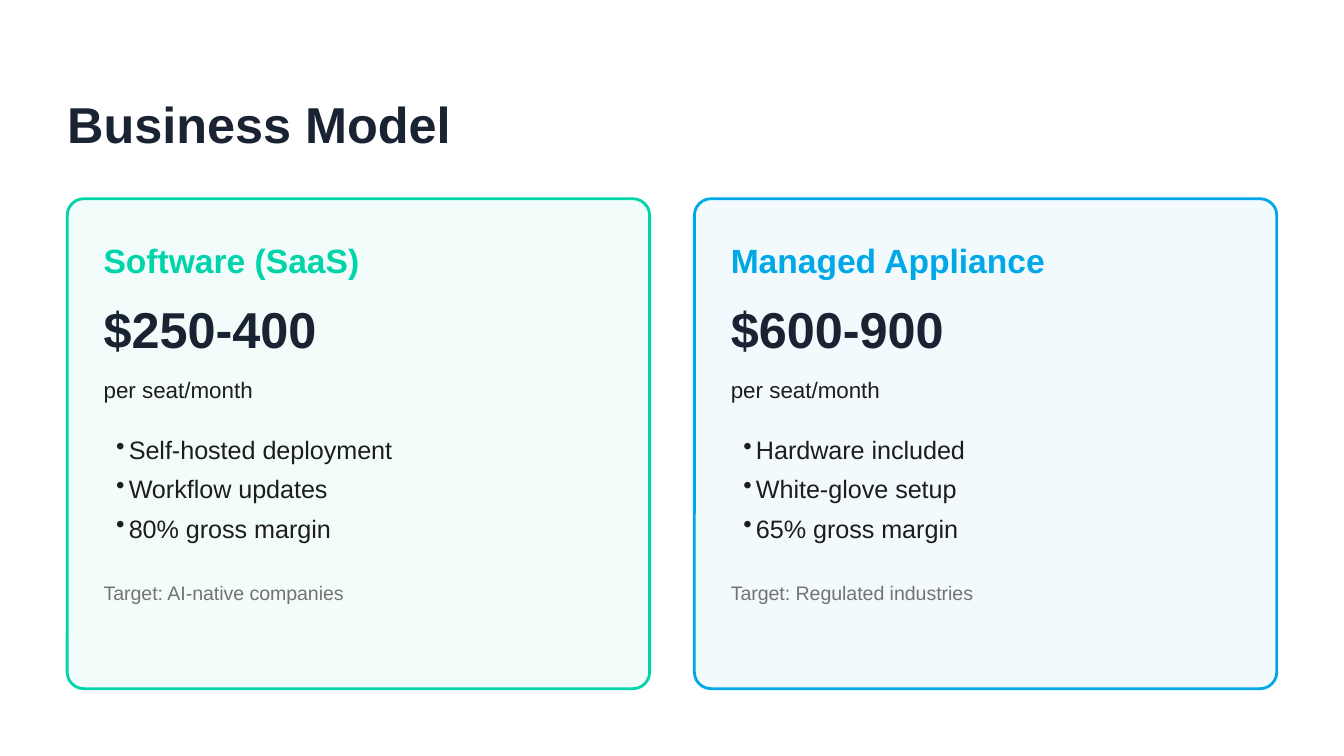
import pptx
import pptx.util
import pptx.dml.color
import pptx.enum.shapes
import pptx.oxml.ns
from lxml import etree

PX = 9525  # EMU per px, 96 px to the inch
INK, BODY, MUTED = "1A2332", "1D1D1D", "737373"


def rgb(value):
    return pptx.dml.color.RGBColor.from_string(value)


def add_text(box, lines, size, color, spacing, bold=False, before=0, after=0, bulleted=False):
    """Add a text box at box (left, top, width, height in px), one paragraph per line."""
    shape = slide.shapes.add_textbox(*[value * PX for value in box])
    frame = shape.text_frame
    frame.word_wrap = True
    frame.margin_left = 9 * PX if bulleted else 0
    frame.margin_top = frame.margin_right = frame.margin_bottom = 0
    frame.text = "\n".join(lines)
    for paragraph in frame.paragraphs:
        paragraph.line_spacing = pptx.util.Pt(spacing)
        paragraph.space_before = pptx.util.Pt(before)
        paragraph.space_after = pptx.util.Pt(after)
        font = paragraph.runs[0].font
        font.name = "Arial"
        font.size = pptx.util.Pt(size)
        font.bold = bold
        font.color.rgb = rgb(color)
        if bulleted:
            properties = paragraph._p.get_or_add_pPr()
            properties.set("marL", str(9 * PX))
            properties.set("indent", str(-9 * PX))
            bullet = etree.SubElement(properties, pptx.oxml.ns.qn("a:buChar"))
            bullet.set("char", "•")


presentation = pptx.Presentation()
presentation.slide_width = 960 * PX
presentation.slide_height = 540 * PX
slide = presentation.slides.add_slide(presentation.slide_layouts[6])
slide.background.fill.solid()
slide.background.fill.fore_color.rgb = rgb("FFFFFF")

add_text((48, 70, 442, 40), ["Business Model"], 27, INK, 30, bold=True)

plans = [
    ("Software (SaaS)", 186, "00D4AA", "$250-400",
     ["Self-hosted deployment", "Workflow updates", "80% gross margin"],
     "Target: AI-native companies"),
    ("Managed Appliance", 229, "00A8E8", "$600-900",
     ["Hardware included", "White-glove setup", "65% gross margin"],
     "Target: Regulated industries"),
]

for index, (name, name_width, accent, price, features, target) in enumerate(plans):
    card_left = 48 + index * 448
    card = slide.shapes.add_shape(
        pptx.enum.shapes.MSO_SHAPE.ROUNDED_RECTANGLE,
        card_left * PX, 142 * PX, 416 * PX, 350 * PX)
    card.adjustments[0] = 0.034
    card.shadow.inherit = False
    card.fill.solid()
    card.fill.fore_color.rgb = rgb(accent)
    fill_color = card._element.spPr.find(".//" + pptx.oxml.ns.qn("a:srgbClr"))
    etree.SubElement(fill_color, pptx.oxml.ns.qn("a:alpha")).set("val", "5000")
    card.line.color.rgb = rgb(accent)
    card.line.width = pptx.util.Pt(1.5)

    left = card_left + 26
    add_text((left, 168, name_width, 32), [name], 18, accent, 24, bold=True, after=12)
    add_text((left, 216, 372, 40), [price], 27, INK, 30, bold=True, after=6)
    add_text((left, 264, 372, 24), ["per seat/month"], 12, BODY, 18, before=3, after=12)
    add_text((left, 304, 364, 92), features, 13.5, BODY, 21, bulleted=True)
    add_text((left, 412, 372, 20), [target], 10.5, MUTED, 15, before=12, after=3)

presentation.save("out.pptx")
